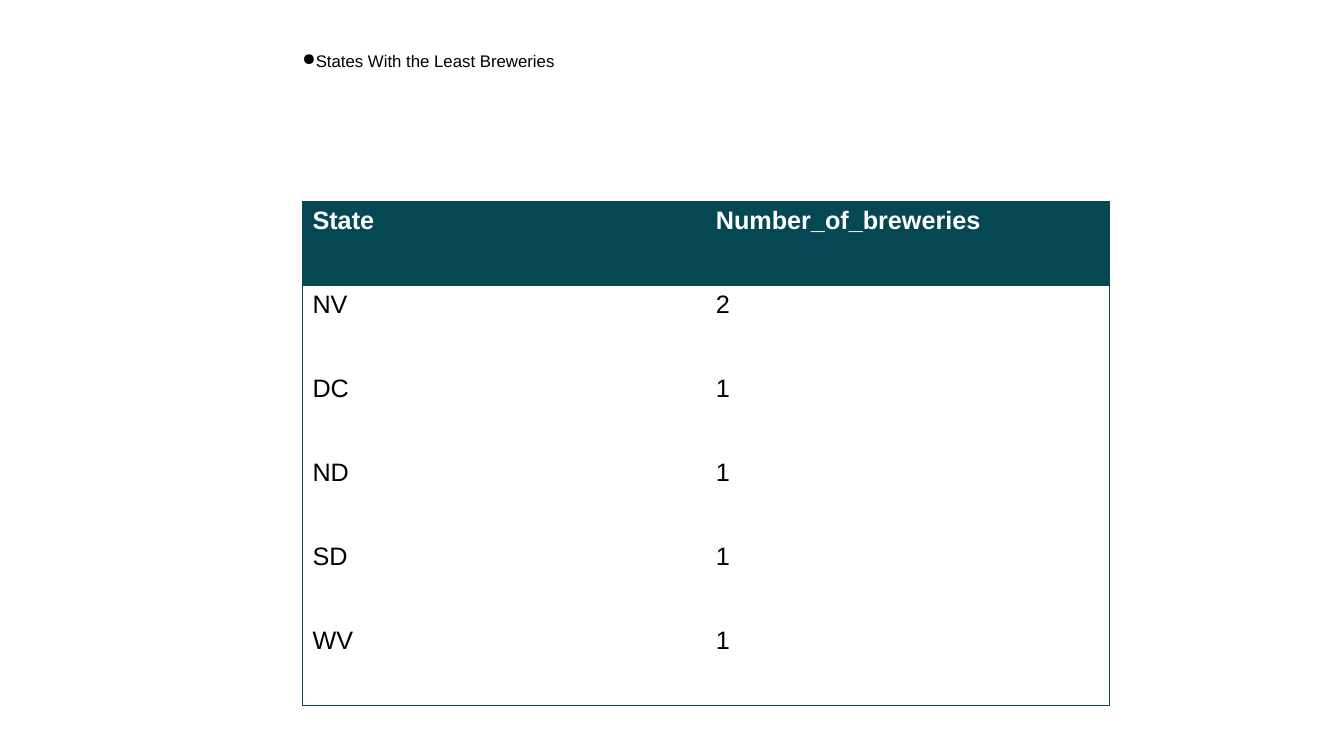
"""Builds a slide with a table of the states that have the fewest breweries."""
from lxml.etree import SubElement
from pptx import Presentation
from pptx.dml.color import RGBColor
from pptx.enum.text import MSO_ANCHOR, MSO_AUTO_SIZE, PP_ALIGN
from pptx.oxml.ns import qn
from pptx.util import Inches, Pt

TEAL, WHITE, BLACK = "054854", "FFFFFF", "000000"
NO_STYLE = "{2D5ABB26-0587-4C30-8999-92F81FD0307C}"


def style_font(font, size, color, bold=False):
    font.name = "Arial"
    font.size = Pt(size)
    font.bold = bold
    font.color.rgb = RGBColor.from_string(color)


def add_border(cell, side):
    line = SubElement(cell._tc.get_or_add_tcPr(), qn(f"a:ln{side}"), w=str(Pt(0.5)))
    SubElement(SubElement(line, qn("a:solidFill")), qn("a:srgbClr"), val=TEAL)


presentation = Presentation()
presentation.slide_width = Inches(13.33)
presentation.slide_height = Inches(7.5)
slide = presentation.slides.add_slide(presentation.slide_layouts[5])

heading = slide.shapes.title
heading.left, heading.top = Inches(3), Inches(0.5)
heading.width, heading.height = Inches(8), Inches(1)
heading_frame = heading.text_frame
heading_frame.text = "States With the Least Breweries"
heading_frame.word_wrap = True
heading_frame.auto_size = MSO_AUTO_SIZE.NONE
heading_frame.vertical_anchor = MSO_ANCHOR.TOP
heading_frame.margin_left = heading_frame.margin_right = 0
heading_frame.margin_top = heading_frame.margin_bottom = 0
heading_line = heading_frame.paragraphs[0]
heading_line.alignment = PP_ALIGN.LEFT
heading_line.space_after = Pt(10)
style_font(heading_line.font, 12, BLACK)
heading_format = heading_line._p.get_or_add_pPr()
heading_format.set("marL", "0")
heading_format.set("indent", "0")
bullet = heading_format.makeelement(qn("a:buChar"), {"char": "●"})
heading_format.find(qn("a:defRPr")).addprevious(bullet)

brewery_rows = [
    ("State", "Number_of_breweries"),
    ("NV", "2"),
    ("DC", "1"),
    ("ND", "1"),
    ("SD", "1"),
    ("WV", "1"),
]
last_row = len(brewery_rows) - 1
breweries = slide.shapes.add_table(
    len(brewery_rows), 2, Inches(3), Inches(2), Inches(8), Inches(5)
).table
breweries._tbl.tblPr.find(qn("a:tableStyleId")).text = NO_STYLE
breweries.horz_banding = False

for row, values in enumerate(brewery_rows):
    for column, value in enumerate(values):
        cell = breweries.cell(row, column)
        cell.text = value
        is_header = row == 0
        style_font(cell.text_frame.paragraphs[0].font, 18,
                   WHITE if is_header else BLACK, is_header)
        add_border(cell, "L" if column == 0 else "R")
        if is_header:
            add_border(cell, "T")
        if row == last_row:
            add_border(cell, "B")
        if is_header:
            cell.fill.solid()
            cell.fill.fore_color.rgb = RGBColor.from_string(TEAL)
        else:
            cell.fill.background()

presentation.save("out.pptx")
